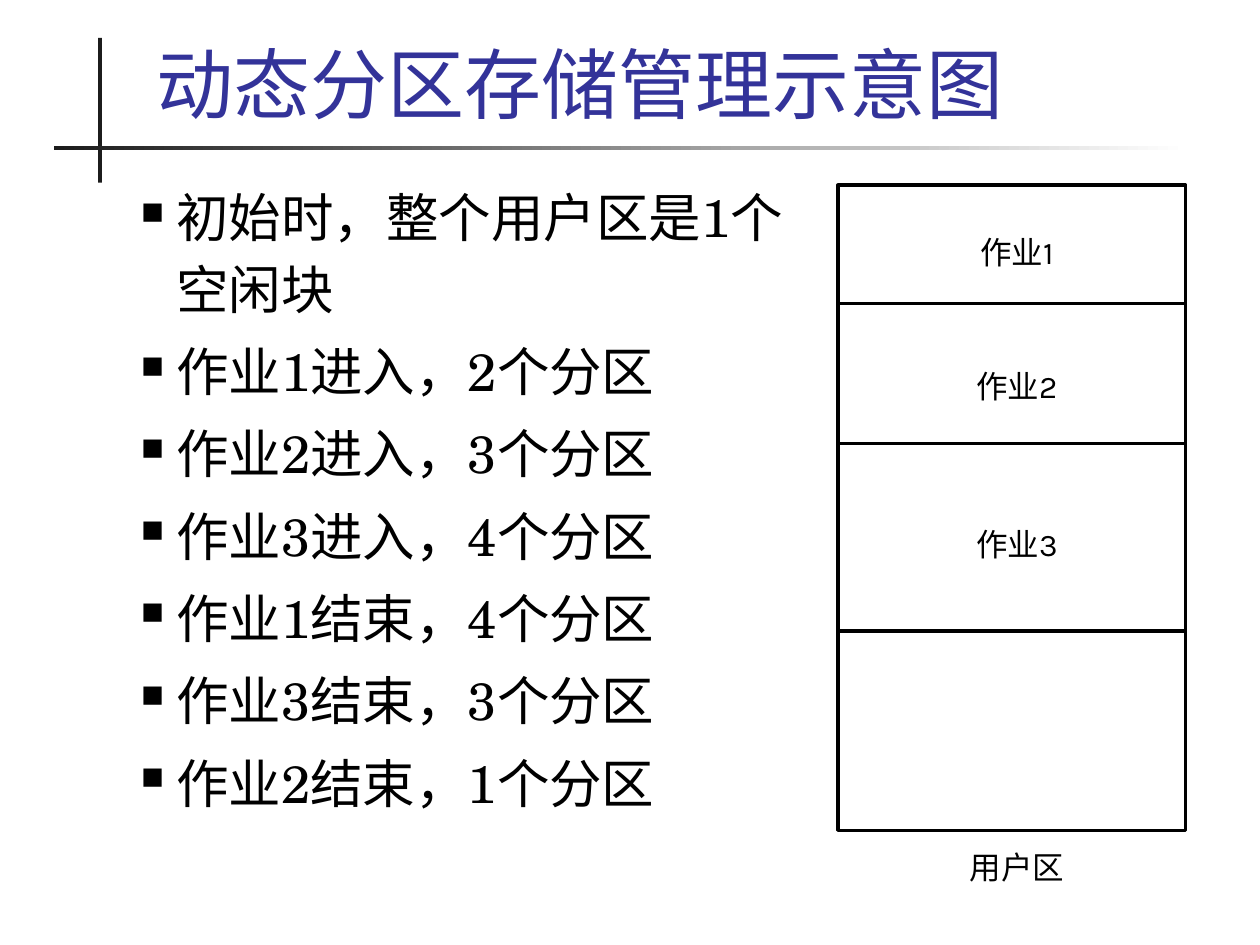
from dataclasses import dataclass

from lxml import etree
from pptx import Presentation
from pptx.dml.color import RGBColor
from pptx.enum.shapes import MSO_CONNECTOR, MSO_SHAPE
from pptx.enum.text import MSO_ANCHOR, MSO_AUTO_SIZE, PP_ALIGN
from pptx.oxml.ns import qn
from pptx.util import Inches, Pt

RECT = MSO_SHAPE.RECTANGLE
STRAIGHT = MSO_CONNECTOR.STRAIGHT
TOP, MIDDLE, BOTTOM = MSO_ANCHOR.TOP, MSO_ANCHOR.MIDDLE, MSO_ANCHOR.BOTTOM
LEFT, CENTER = PP_ALIGN.LEFT, PP_ALIGN.CENTER
NO_AUTOFIT = MSO_AUTO_SIZE.NONE


@dataclass(frozen=True)
class Theme:
    title: RGBColor = RGBColor(0x33, 0x33, 0x99)
    text: RGBColor = RGBColor(0, 0, 0)
    bar: RGBColor = RGBColor(0x1C, 0x1C, 0x1C)
    white: RGBColor = RGBColor(0xFF, 0xFF, 0xFF)
    text_font: str = "TeX Gyre Schola"
    label_font: str = "Karla"
    title_size: int = 44
    body_size: int = 30
    label_size: int = 18


THEME = Theme()

STEPS = [
    "初始时，整个用户区是1个空闲块",
    "作业1进入，2个分区",
    "作业2进入，3个分区",
    "作业3进入，4个分区",
    "作业1结束，4个分区",
    "作业3结束，3个分区",
    "作业2结束，1个分区",
]

# Memory block: frame, dividers, and labels with their top edges
MEM_X, MEM_Y, MEM_W, MEM_H = 6.65, 1.47, 2.76, 5.12
DIVIDERS = [2.41, 3.52, 5.01]
LABELS = [("作业1", 1.78), ("作业2", 2.84), ("作业3", 4.1), ("用户区", 6.66)]


def style_font(p, name, size, color):
    for r in p.runs:
        r.font.name = name
        r.font.size = Pt(size)
        r.font.color.rgb = color


def add_rect(slide, x, y, w, h):
    sp = slide.shapes.add_shape(RECT, Inches(x), Inches(y), Inches(w), Inches(h))
    sp.shadow.inherit = False
    return sp


def add_rules(slide):
    vertical = add_rect(slide, 0.78, 0.3, 0.03, 1.15)
    vertical.fill.solid()
    vertical.fill.fore_color.rgb = THEME.bar
    vertical.line.fill.background()

    horizontal = add_rect(slide, 0.43, 1.16, 9, 0.03)
    horizontal.fill.gradient()
    horizontal.fill.gradient_angle = 0
    stops = horizontal.fill.gradient_stops
    for stop, position, color in zip(stops, (0, 1), (THEME.bar, THEME.white)):
        stop.position = position
        stop.color.rgb = color
    horizontal.line.fill.background()


def set_title(slide, text):
    sp = slide.shapes.title
    sp.left, sp.top, sp.width, sp.height = map(Inches, (1.14, 0.25, 8.59, 0.82))
    tf = sp.text_frame
    tf.text = text
    tf.auto_size = NO_AUTOFIT
    tf.vertical_anchor = BOTTOM
    p = tf.paragraphs[0]
    p.alignment = LEFT
    style_font(p, THEME.text_font, THEME.title_size, THEME.title)


def set_bullet(p):
    pPr = p._p.get_or_add_pPr()
    pPr.set("marL", str(Inches(0.28)))
    pPr.set("indent", str(-Inches(0.28)))
    color = etree.SubElement(pPr, qn("a:buClr"))
    etree.SubElement(color, qn("a:srgbClr"), val=str(THEME.text))
    etree.SubElement(pPr, qn("a:buSzPct"), val="60000")
    etree.SubElement(pPr, qn("a:buChar"), char="■")


def add_steps(slide, steps):
    sp = slide.shapes.add_textbox(Inches(1.02), Inches(1.35), Inches(5.4), Inches(5.35))
    tf = sp.text_frame
    tf.word_wrap = True
    tf.vertical_anchor = TOP
    for i, step in enumerate(steps):
        p = tf.add_paragraph() if i else tf.paragraphs[0]
        p.text = step
        set_bullet(p)
        p.line_spacing = 1.14
        if i:
            p.space_before = Pt(6)
        style_font(p, THEME.text_font, THEME.body_size, THEME.text)


def add_label(slide, text, y):
    sp = slide.shapes.add_textbox(Inches(7.44), Inches(y), Inches(1.26), Inches(0.44))
    tf = sp.text_frame
    tf.text = text
    tf.word_wrap = False
    tf.vertical_anchor = MIDDLE
    tf.margin_left = tf.margin_right = tf.margin_top = tf.margin_bottom = 0
    p = tf.paragraphs[0]
    p.alignment = CENTER
    style_font(p, THEME.label_font, THEME.label_size, THEME.text)


def style_line(line):
    line.color.rgb = THEME.text
    line.width = Pt(2)


def add_divider(slide, y):
    line = slide.shapes.add_connector(
        STRAIGHT, Inches(MEM_X), Inches(y), Inches(MEM_X + MEM_W), Inches(y))
    style_line(line.line)
    etree.SubElement(line._element.spPr, qn("a:effectLst"))


def add_memory(slide):
    frame = add_rect(slide, MEM_X, MEM_Y, MEM_W, MEM_H)
    frame.fill.background()
    style_line(frame.line)
    for y in DIVIDERS:
        add_divider(slide, y)
    for text, y in LABELS:
        add_label(slide, text, y)


def main():
    prs = Presentation()
    prs.slide_width, prs.slide_height = Inches(10), Inches(7.5)
    slide = prs.slides.add_slide(prs.slide_layouts[5])

    # Heading with its crossing rules
    add_rules(slide)
    set_title(slide, "动态分区存储管理示意图")

    # Steps on the left, memory diagram on the right
    add_steps(slide, STEPS)
    add_memory(slide)

    prs.save("out.pptx")


if __name__ == "__main__":
    main()
